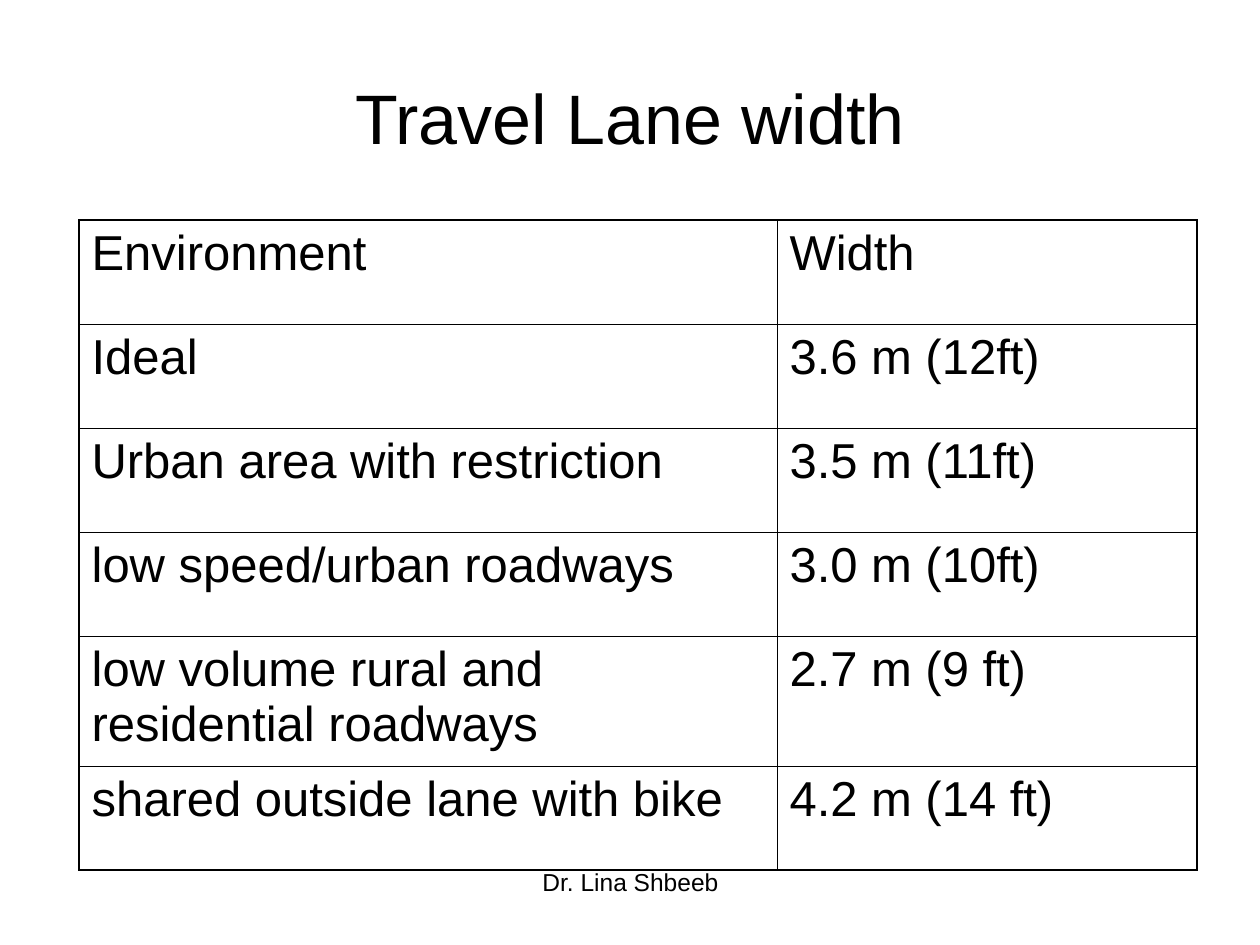
import dataclasses

import lxml.etree
import pptx
import pptx.dml.color
import pptx.enum.text
import pptx.oxml.ns
import pptx.util

EMU_PER_PX = 914400 / 126


@dataclasses.dataclass(frozen=True)
class Theme:
    font: str = "Arial"
    ink: str = "000000"
    paper: str = "FFFFFF"
    title_size: int = 40
    table_size: int = 28
    footer_size: int = 14
    outer_line: float = 1.08
    inner_line: float = 0.45


THEME = Theme()

LANE_WIDTHS = [
    ("Environment", "Width"),
    ("Ideal", "3.6 m (12ft)"),
    ("Urban area with restriction", "3.5 m (11ft)"),
    ("low speed/urban roadways", "3.0 m (10ft)"),
    ("low volume rural and residential roadways", "2.7 m (9 ft)"),
    ("shared outside lane with bike", "4.2 m (14 ft)"),
]
COLUMN_WIDTHS = [698, 420]
ROW_HEIGHTS = [104, 104, 104, 104, 130, 104]


def px(length):
    return pptx.util.Emu(round(length * EMU_PER_PX))


def rgb(value):
    return pptx.dml.color.RGBColor.from_string(value)


def write(frame, text, size, align):
    frame.text = text
    paragraph = frame.paragraphs[0]
    paragraph.alignment = align
    for run in paragraph.runs:
        run.font.name = THEME.font
        run.font.size = pptx.util.Pt(size)
        run.font.bold = False
        run.font.color.rgb = rgb(THEME.ink)


def add_centred_text(slide, text, size, box, anchor):
    frame = slide.shapes.add_textbox(*map(px, box)).text_frame
    frame.word_wrap = True
    frame.vertical_anchor = anchor
    write(frame, text, size, pptx.enum.text.PP_ALIGN.CENTER)


def add_border(cell, side, points):
    qn = pptx.oxml.ns.qn
    properties = cell._tc.get_or_add_tcPr()
    line = lxml.etree.SubElement(
        properties, qn(f"a:ln{side}"), w=str(pptx.util.Pt(points))
    )
    fill = lxml.etree.SubElement(line, qn("a:solidFill"))
    lxml.etree.SubElement(fill, qn("a:srgbClr"), val=THEME.ink)


def style_cell(cell, text, outer_edges):
    write(cell.text_frame, text, THEME.table_size, pptx.enum.text.PP_ALIGN.LEFT)
    for side, is_outer in outer_edges.items():
        add_border(cell, side, THEME.outer_line if is_outer else THEME.inner_line)
    cell.fill.background()


def add_lane_table(slide, left, top):
    row_count, column_count = len(ROW_HEIGHTS), len(COLUMN_WIDTHS)
    lane_table = slide.shapes.add_table(
        row_count, column_count, px(left), px(top),
        px(sum(COLUMN_WIDTHS)), px(sum(ROW_HEIGHTS)),
    ).table
    lane_table.first_row = False
    lane_table.horz_banding = False
    for column, width in zip(lane_table.columns, COLUMN_WIDTHS):
        column.width = px(width)
    for row, height in zip(lane_table.rows, ROW_HEIGHTS):
        row.height = px(height)
    for r, entries in enumerate(LANE_WIDTHS):
        for c, entry in enumerate(entries):
            outer_edges = {
                "L": c == 0,
                "R": c == column_count - 1,
                "T": r == 0,
                "B": r == row_count - 1,
            }
            style_cell(lane_table.cell(r, c), entry, outer_edges)


def main():
    deck = pptx.Presentation()
    deck.slide_width, deck.slide_height = px(1260), px(945)
    slide = deck.slides.add_slide(deck.slide_layouts[6])
    slide.background.fill.solid()
    slide.background.fill.fore_color.rgb = rgb(THEME.paper)
    anchors = pptx.enum.text.MSO_ANCHOR
    add_centred_text(
        slide, "Travel Lane width", THEME.title_size, (63, 38, 1134, 158), anchors.MIDDLE
    )
    add_lane_table(slide, 79, 220)
    add_centred_text(
        slide, "Dr. Lina Shbeeb", THEME.footer_size, (431, 861, 399, 66), anchors.TOP
    )
    deck.save("out.pptx")


if __name__ == "__main__":
    main()
